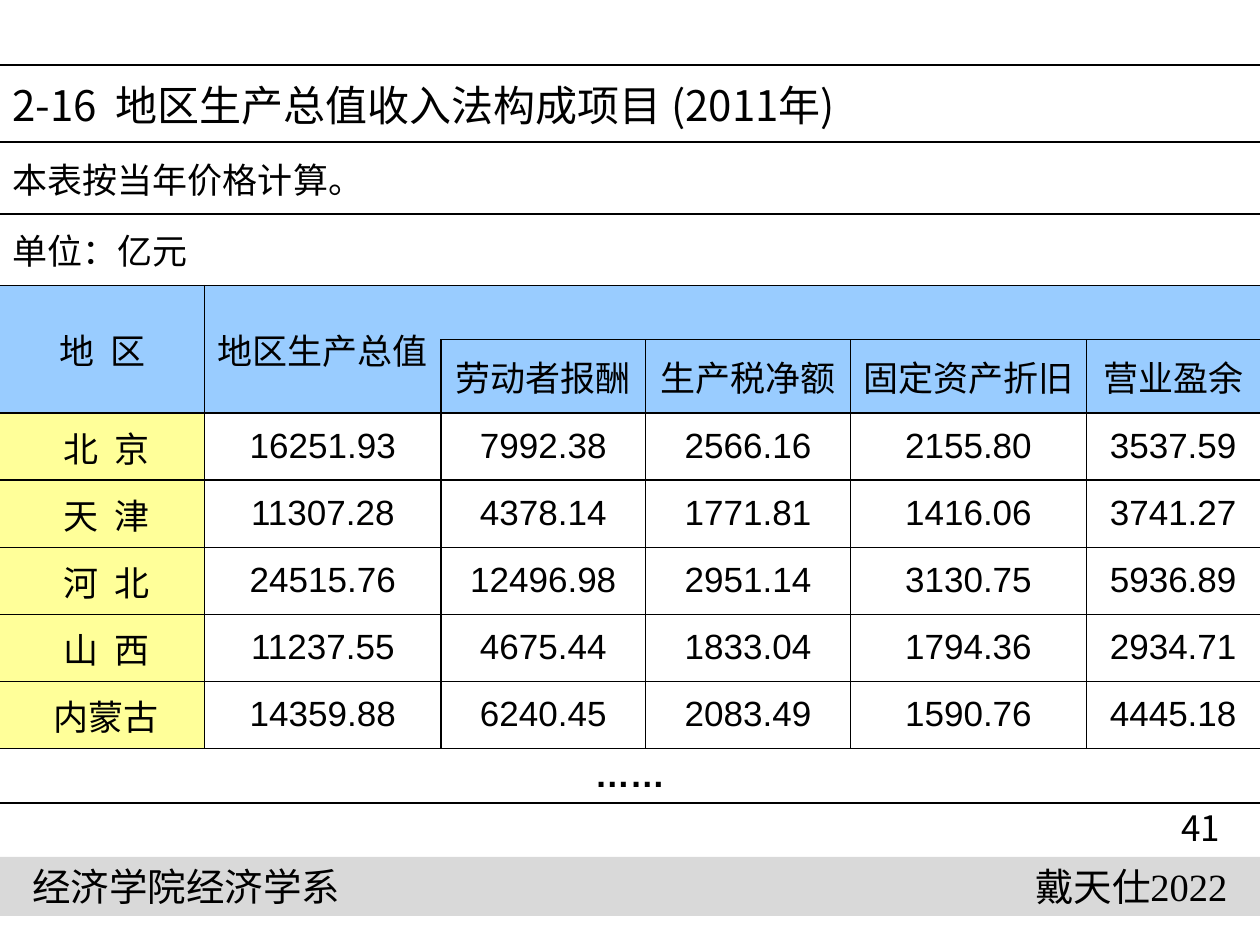
from dataclasses import dataclass
from typing import NamedTuple

from lxml import etree
from pptx import Presentation
from pptx.dml.color import RGBColor
from pptx.enum.shapes import MSO_SHAPE
from pptx.enum.text import MSO_ANCHOR, PP_ALIGN
from pptx.oxml.ns import qn
from pptx.util import Pt

RECTANGLE = MSO_SHAPE.RECTANGLE
MIDDLE = MSO_ANCHOR.MIDDLE
LEFT, CENTER, RIGHT = PP_ALIGN.LEFT, PP_ALIGN.CENTER, PP_ALIGN.RIGHT

BLACK = RGBColor(0x00, 0x00, 0x00)
GRAY = RGBColor(0xD9, 0xD9, 0xD9)
BLUE = RGBColor(0x99, 0xCC, 0xFF)
YELLOW = RGBColor(0xFF, 0xFF, 0x99)

CHINESE_FONT = "Noto Sans CJK SC"
NUMBER_FONT = "Arial"
FOOTER_FONT = "Times New Roman"

SLIDE_WIDTH, SLIDE_HEIGHT = 720, 540
FOOTER_TOP, FOOTER_HEIGHT = 489.6, 33.8
TABLE_TOP = 37.2
COLUMN_WIDTHS = [117, 135, 117, 117, 135, 99]
ROW_HEIGHTS = [44, 41, 41, 31, 42] + [38.3] * 5 + [31]

ROWS = [
    ["2-16  地区生产总值收入法构成项目 (2011年)"],
    ["本表按当年价格计算。"],
    ["单位：亿元"],
    ["地  区", "地区生产总值"],
    ["", "", "劳动者报酬", "生产税净额", "固定资产折旧", "营业盈余"],
    [" 北  京", "16251.93", "7992.38", "2566.16", "2155.80", "3537.59"],
    [" 天  津", "11307.28", "4378.14", "1771.81", "1416.06", "3741.27"],
    [" 河  北", "24515.76", "12496.98", "2951.14", "3130.75", "5936.89"],
    [" 山  西", "11237.55", "4675.44", "1833.04", "1794.36", "2934.71"],
    [" 内蒙古", "14359.88", "6240.45", "2083.49", "1590.76", "4445.18"],
    ["……"],
]
HEADER_TOP, HEADER_BOTTOM = 3, 4
FIRST_DATA, LAST_DATA = 5, 9
LAST_ROW, LAST_COLUMN = len(ROWS) - 1, len(COLUMN_WIDTHS) - 1


class Merge(NamedTuple):
    top: int
    left: int
    bottom: int
    right: int


MERGES = [
    Merge(0, 0, 0, LAST_COLUMN),
    Merge(1, 0, 1, 3),
    Merge(2, 1, 2, LAST_COLUMN),
    Merge(HEADER_TOP, 0, HEADER_BOTTOM, 0),
    Merge(HEADER_TOP, 1, HEADER_BOTTOM, 1),
    Merge(HEADER_TOP, 2, HEADER_TOP, LAST_COLUMN),
    Merge(LAST_ROW, 0, LAST_ROW, LAST_COLUMN),
]


@dataclass
class Label:
    text: str
    left: float
    top: float
    width: float
    size: float
    font: str
    alignment: PP_ALIGN


LABELS = [
    Label("经济学院经济学系", 11.5, FOOTER_TOP, 219.6, 22, CHINESE_FONT, LEFT),
    Label("戴天仕2022", 534.2, FOOTER_TOP, 174.2, 22, FOOTER_FONT, RIGHT),
    Label("41", 652.3, 455.8, 67.7, 20, CHINESE_FONT, CENTER),
]


def write_text(text_frame, text: str, *, size: float = 20, font: str = CHINESE_FONT,
               alignment: PP_ALIGN = LEFT, bold: bool = False) -> None:
    paragraph = text_frame.paragraphs[0]
    paragraph.alignment = alignment
    run = paragraph.add_run()
    run.text = text
    run.font.size = Pt(size)
    run.font.name = font
    run.font.bold = bold
    run.font.color.rgb = BLACK
    east_asian = etree.SubElement(run.font._element, qn("a:ea"))
    east_asian.set("typeface", CHINESE_FONT)


def add_label(slide, label: Label) -> None:
    shape = slide.shapes.add_textbox(Pt(label.left), Pt(label.top),
                                     Pt(label.width), Pt(FOOTER_HEIGHT))
    text_frame = shape.text_frame
    text_frame.word_wrap = True
    text_frame.vertical_anchor = MIDDLE
    text_frame.margin_top = text_frame.margin_bottom = 0
    write_text(text_frame, label.text, size=label.size, font=label.font,
               alignment=label.alignment)


def visible_edges(row: int, column: int) -> set[str]:
    edges = {"a:lnT", "a:lnB"}
    if row == HEADER_TOP and column < 2:
        edges.remove("a:lnB")
    if row == HEADER_BOTTOM and column < 2:
        edges.remove("a:lnT")
    if HEADER_BOTTOM <= row <= LAST_DATA or (row == HEADER_TOP and column < 2):
        if column > 0:
            edges.add("a:lnL")
        if column < LAST_COLUMN and (row > HEADER_TOP or column == 0):
            edges.add("a:lnR")
    return edges


def draw_borders(cell, edges: set[str]) -> None:
    properties = cell._tc.get_or_add_tcPr()
    for edge in ("a:lnL", "a:lnR", "a:lnT", "a:lnB"):
        line = etree.SubElement(properties, qn(edge), w=str(Pt(1)))
        if edge in edges:
            fill = etree.SubElement(line, qn("a:solidFill"))
            etree.SubElement(fill, qn("a:srgbClr"), val=str(BLACK))
        else:
            etree.SubElement(line, qn("a:noFill"))


def fill_cell(cell, row: int, column: int) -> None:
    if row in (HEADER_TOP, HEADER_BOTTOM):
        color = BLUE
    elif FIRST_DATA <= row <= LAST_DATA and column == 0:
        color = YELLOW
    else:
        cell.fill.background()
        return
    cell.fill.solid()
    cell.fill.fore_color.rgb = color


def add_income_table(slide) -> None:
    frame = slide.shapes.add_table(len(ROW_HEIGHTS), len(COLUMN_WIDTHS), 0, Pt(TABLE_TOP),
                                   Pt(SLIDE_WIDTH), Pt(sum(ROW_HEIGHTS)))
    table = frame.table
    table.first_row = table.horz_banding = False
    for column, width in zip(table.columns, COLUMN_WIDTHS):
        column.width = Pt(width)
    for row, height in zip(table.rows, ROW_HEIGHTS):
        row.height = Pt(height)
    for merge in MERGES:
        table.cell(merge.top, merge.left).merge(table.cell(merge.bottom, merge.right))

    for row, texts in enumerate(ROWS):
        for column in range(len(COLUMN_WIDTHS)):
            cell = table.cell(row, column)
            cell.vertical_anchor = MIDDLE
            draw_borders(cell, visible_edges(row, column))
            fill_cell(cell, row, column)
            if column < len(texts) and texts[column]:
                is_number = FIRST_DATA <= row <= LAST_DATA and column > 0
                is_last = row == LAST_ROW
                write_text(cell.text_frame, texts[column],
                           size=24 if row == 0 else 20,
                           font=NUMBER_FONT if is_number or is_last else CHINESE_FONT,
                           alignment=LEFT if row < HEADER_TOP else CENTER,
                           bold=is_last)


def main() -> None:
    presentation = Presentation()
    presentation.slide_width = Pt(SLIDE_WIDTH)
    presentation.slide_height = Pt(SLIDE_HEIGHT)
    slide = presentation.slides.add_slide(presentation.slide_layouts[6])

    band = slide.shapes.add_shape(RECTANGLE, 0, Pt(FOOTER_TOP),
                                  Pt(SLIDE_WIDTH), Pt(FOOTER_HEIGHT))
    band.shadow.inherit = False
    band.fill.solid()
    band.fill.fore_color.rgb = GRAY
    band.line.fill.background()

    for label in LABELS:
        add_label(slide, label)
    add_income_table(slide)
    presentation.save("out.pptx")


if __name__ == "__main__":
    main()
